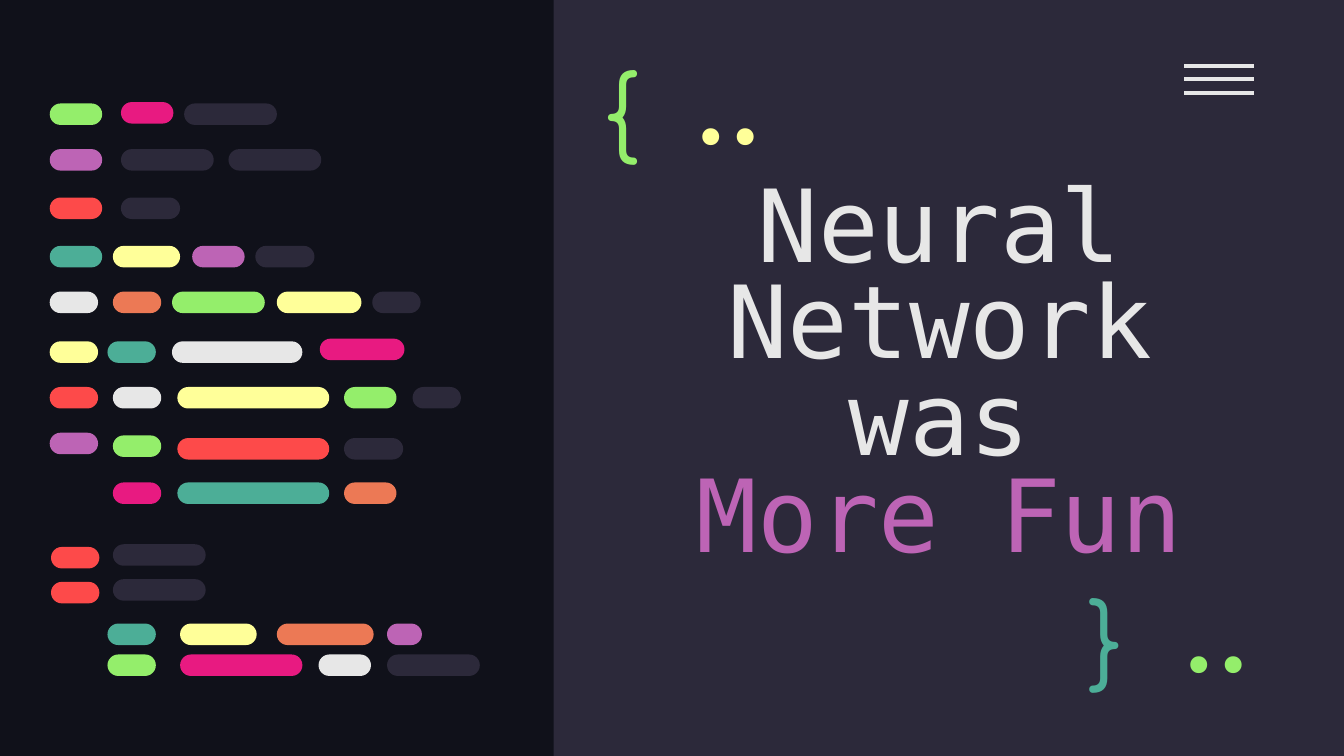
from lxml import etree
from pptx import Presentation
from pptx.dml.color import RGBColor
from pptx.enum.shapes import MSO_CONNECTOR, MSO_SHAPE
from pptx.enum.text import MSO_ANCHOR, MSO_AUTO_SIZE, PP_ALIGN
from pptx.oxml.ns import qn
from pptx.util import Inches, Pt

RECT, PILL = MSO_SHAPE.RECTANGLE, MSO_SHAPE.ROUNDED_RECTANGLE
LINE = MSO_CONNECTOR.STRAIGHT
TOP, MID = MSO_ANCHOR.TOP, MSO_ANCHOR.MIDDLE
LEFT, MIDST, RIGHT = PP_ALIGN.LEFT, PP_ALIGN.CENTER, PP_ALIGN.RIGHT
FIXED = MSO_AUTO_SIZE.NONE

COLS, ROWS = 100, 56.25
CELL = Inches(0.1)
PILL_H = 1.6

HUES = {
    "night": "10111A", "slate": "2C293A", "white": "E7E7E7",
    "green": "94EE6B", "pink": "E81A81", "plum": "BD64B5", "red": "FD4A4A",
    "teal": "4CAE97", "lemon": "FFFF99", "coral": "EC7955",
}

CODE = [
    (7.6, [(9, 3.9, "pink")]),
    (7.7, [(3.7, 3.9, "green"), (13.7, 6.9, "slate")]),
    (11.1, [(3.7, 3.9, "plum"), (9, 6.9, "slate"), (17, 6.9, "slate")]),
    (14.7, [(3.7, 3.9, "red"), (9, 4.4, "slate")]),
    (18.3, [(3.7, 3.9, "teal"), (8.4, 5, "lemon"), (14.3, 3.9, "plum"),
            (19, 4.4, "slate")]),
    (21.7, [(3.7, 3.6, "white"), (8.4, 3.6, "coral"), (12.8, 6.9, "green"),
            (20.6, 6.3, "lemon"), (27.7, 3.6, "slate")]),
    (25.2, [(23.8, 6.3, "pink")]),
    (25.4, [(3.7, 3.6, "lemon"), (8, 3.6, "teal"), (12.8, 9.7, "white")]),
    (28.8, [(3.7, 3.6, "red"), (8.4, 3.6, "white"), (13.2, 11.3, "lemon"),
            (25.6, 3.9, "green"), (30.7, 3.6, "slate")]),
    (32.2, [(3.7, 3.6, "plum")]),
    (32.4, [(8.4, 3.6, "green")]),
    (32.6, [(13.2, 11.3, "red"), (25.6, 4.4, "slate")]),
    (35.9, [(8.4, 3.6, "pink"), (13.2, 11.3, "teal"), (25.6, 3.9, "coral")]),
    (40.5, [(8.4, 6.9, "slate")]),
    (40.7, [(3.8, 3.6, "red")]),
    (43.1, [(8.4, 6.9, "slate")]),
    (43.3, [(3.8, 3.6, "red")]),
    (46.4, [(8, 3.6, "teal"), (13.4, 5.7, "lemon"), (20.6, 7.2, "coral"),
            (28.8, 2.6, "plum")]),
    (48.7, [(8, 3.6, "green"), (13.4, 9.1, "pink"), (23.7, 3.9, "white"),
            (28.8, 6.9, "slate")]),
]


class Page:
    """Draws styled elements on one slide, measured in grid cells."""

    def __init__(self, deck):
        self.slide = deck.slides.add_slide(deck.slide_layouts[5])
        self.shapes = self.slide.shapes
        fill = self.slide.background.fill
        fill.solid()
        fill.fore_color.rgb = self.hue("night")

    def hue(self, name):
        return RGBColor.from_string(HUES[name])

    def grid(self, *cells):
        return [round(n * CELL) for n in cells]

    def block(self, kind, x, y, w, h, hue):
        shape = self.shapes.add_shape(kind, *self.grid(x, y, w, h))
        shape.shadow.inherit = False
        shape.fill.solid()
        shape.fill.fore_color.rgb = self.hue(hue)
        shape.line.fill.background()
        return shape

    def pill(self, x, y, w, hue):
        self.block(PILL, x, y, w, PILL_H, hue).adjustments[0] = 0.5

    def rule(self, x, y, w, hue):
        line = self.shapes.add_connector(LINE, *self.grid(x, y, x + w, y))
        line.line.color.rgb = self.hue(hue)
        line.line.width = Pt(2.25)
        etree.SubElement(line.element.spPr, qn("a:effectLst"))

    def frame(self, shape, anchor):
        frame = shape.text_frame
        frame.word_wrap = True
        frame.auto_size = FIXED
        frame.vertical_anchor = anchor
        frame.margin_left = frame.margin_right = CELL
        frame.margin_top = frame.margin_bottom = CELL
        return frame.paragraphs[0]

    def style(self, para, face, size, align):
        para.font.name, para.font.size = face, Pt(size)
        para.alignment = align

    def mark(self, text, x, y, w, h, hue, face, anchor, align):
        box = self.shapes.add_textbox(*self.grid(x, y, w, h))
        para = self.frame(box, anchor)
        para.text = text
        self.style(para, face, 50, align)
        para.font.color.rgb = self.hue(hue)

    def brace(self, text, x, y, w, h, hue):
        self.mark(text, x, y, w, h, hue, "Comfortaa", TOP, LEFT)

    def dots(self, x, y, hue):
        self.mark("..", x, y, 10.7, 6, hue, "Fira Code", MID, RIGHT)

    def title(self, x, y, w, h, parts):
        title = self.shapes.title
        title.left, title.top, title.width, title.height = self.grid(x, y, w, h)
        self.shapes.element.append(title.element)
        para = self.frame(title, MID)
        self.style(para, "DejaVu Sans Mono", 54, MIDST)
        para.line_spacing = 0.8
        for i, (text, hue) in enumerate(parts):
            if i:
                para.add_line_break()
            run = para.add_run()
            run.text = text
            run.font.color.rgb = self.hue(hue)


def main():
    """Build the title slide and save it."""
    deck = Presentation()
    deck.slide_width, deck.slide_height = round(COLS * CELL), round(ROWS * CELL)
    page = Page(deck)
    page.block(RECT, 41.2, 0, COLS - 41.2, ROWS, "slate")
    for i in range(3):
        page.rule(88.1, 4.9 + i, 5.2, "white")
    page.title(47.6, 14.3, 44.6, 27.7,
               [("Neural Network was", "white"), ("More Fun", "plum")])
    for y, bars in CODE:
        for x, w, hue in bars:
            page.pill(x, y, w, hue)
    page.brace("{", 43.9, 2.7, 7.7, 9.5, "green")
    page.brace("}", 80, 42, 5.7, 8.3, "teal")
    page.dots(85.1, 44.3, "green")
    page.dots(48.8, 5, "lemon")
    deck.save("out.pptx")


if __name__ == "__main__":
    main()
